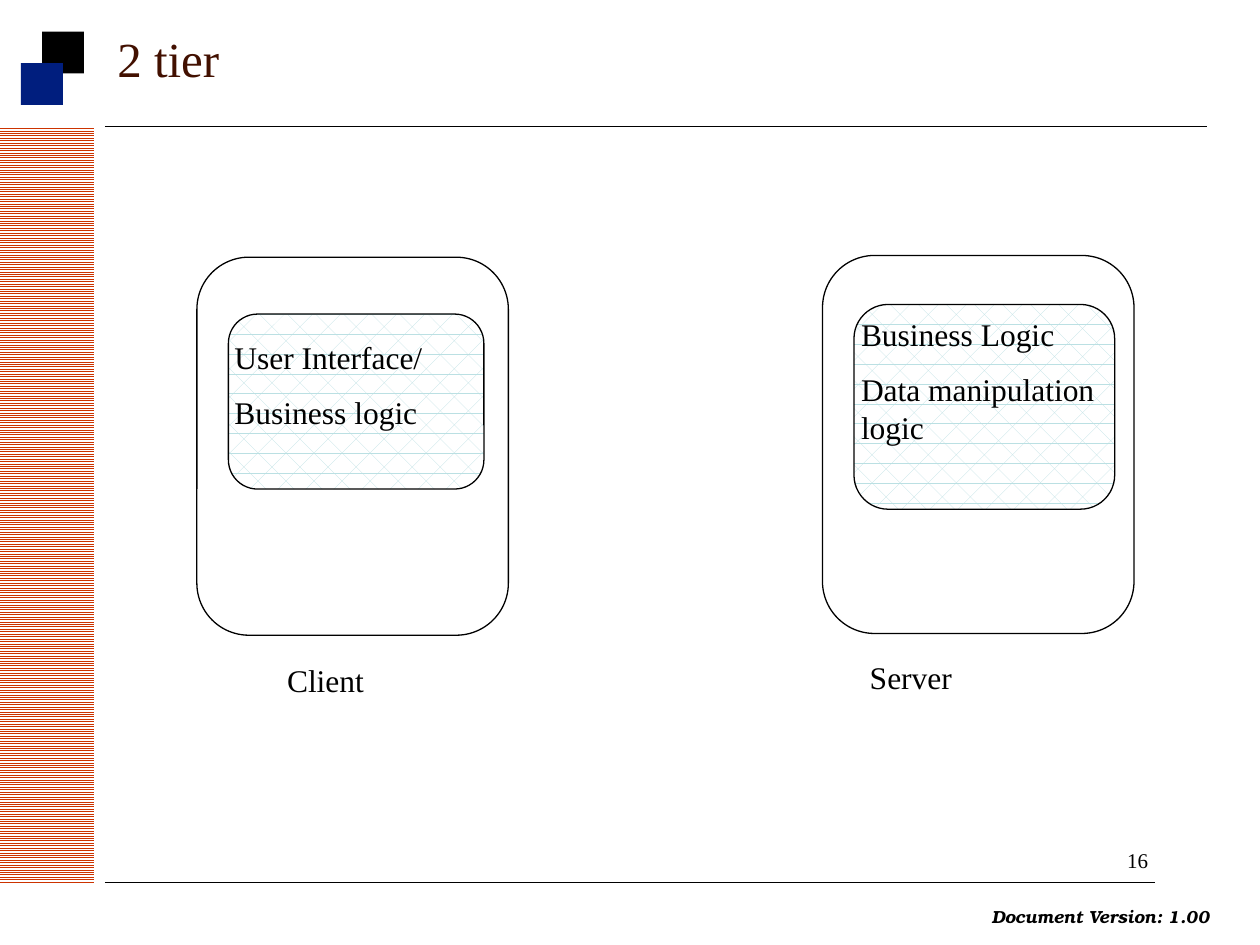
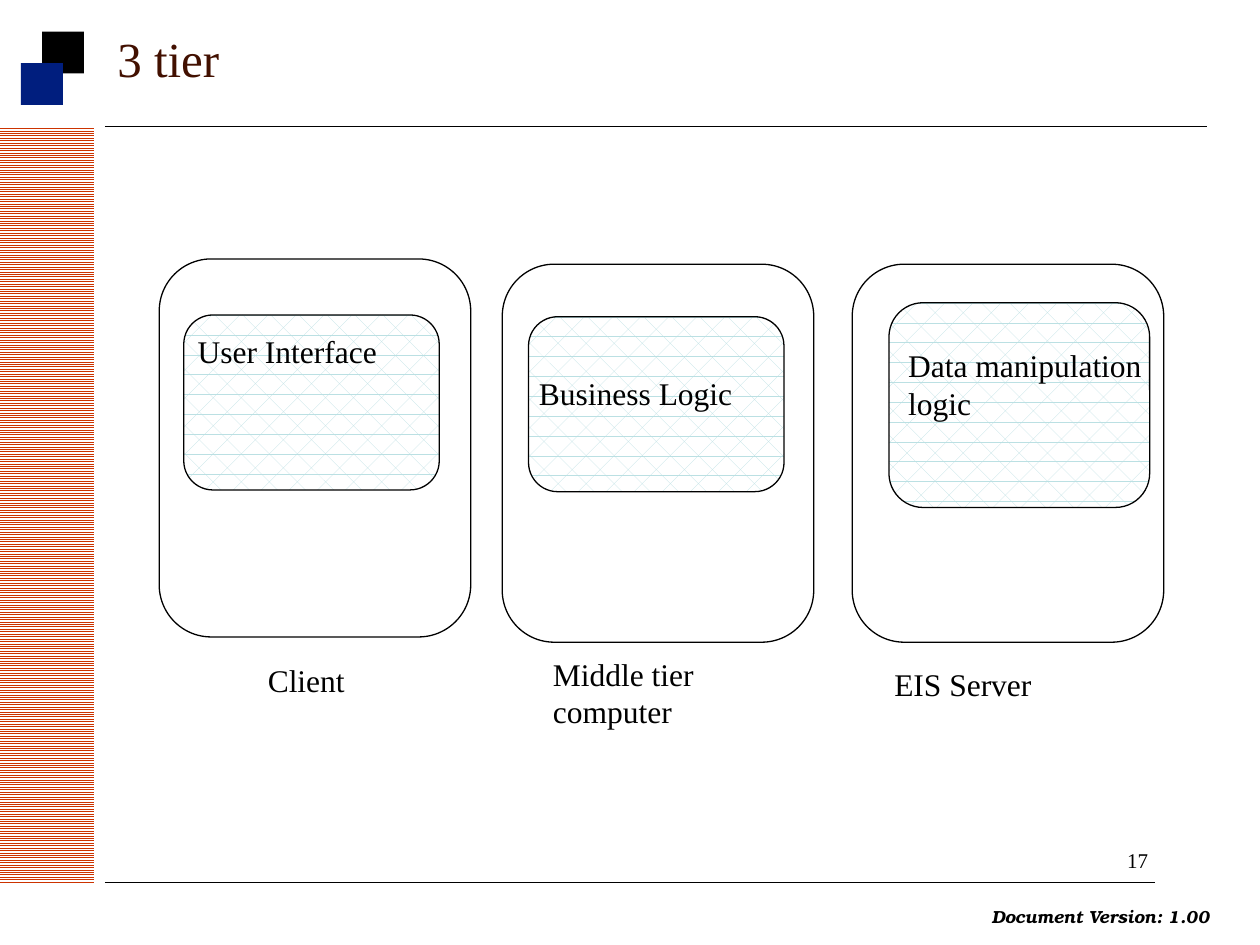
from lxml.etree import SubElement
from pptx import Presentation
from pptx.dml.color import RGBColor
from pptx.enum.dml import MSO_PATTERN
from pptx.enum.shapes import MSO_CONNECTOR, MSO_SHAPE
from pptx.enum.text import MSO_ANCHOR
from pptx.oxml.ns import qn
from pptx.util import Pt

BLACK = RGBColor(0x00, 0x00, 0x00)
WHITE = RGBColor(0xFF, 0xFF, 0xFF)
NAVY = RGBColor(0x00, 0x1E, 0x7E)
RUST = RGBColor(0xCC, 0x33, 0x00)
BROWN = RGBColor(0x42, 0x10, 0x00)
AQUA = RGBColor(0xBB, 0xE0, 0xE3)

SERIF = "Times New Roman"
TITLE = {"name": SERIF, "size": Pt(28)}
BODY = {"name": SERIF, "size": Pt(18)}
NUMBER = {"name": SERIF, "size": Pt(12)}
VERSION = {"name": "TeX Gyre Bonum", "size": Pt(10), "bold": True, "italic": True}

PADDED = {"margin_left": Pt(7.2), "margin_right": Pt(7.2),
          "margin_top": Pt(3.6), "margin_bottom": Pt(3.6)}
TIGHT = dict.fromkeys(PADDED, 0)

MACHINE_SIZE = (178, 216)
SMALL_LOGIC = (146, 100)
LARGE_LOGIC = (149, 117)
CORNER = 0.167

SLIDES = [
    ("2 tier", 16, [
        {"machine": (112.5, 147), "logic": (130.5, 179.5, *SMALL_LOGIC),
         "text": (134, 193, 134, 75.5), "lines": ["User Interface/", "Business logic"],
         "label": (164, 377.5, 151, 21.5), "name": "Client"},
        {"machine": (470, 146), "logic": (488, 174, *LARGE_LOGIC),
         "text": (492, 180, 137, 108.5), "lines": ["Business Logic", "Data manipulation logic"],
         "label": (497, 376, 129, 21.5), "name": "Server"},
    ]),
    ("3 tier", 17, [
        {"machine": (91, 148), "logic": (105, 180, *SMALL_LOGIC),
         "text": (113, 190, 134, 21.5), "lines": ["User Interface"],
         "label": (153, 377.5, 151, 21.5), "name": "Client"},
        {"machine": (287, 151), "logic": (302, 181, *SMALL_LOGIC),
         "text": (308, 214, 133, 21.5), "lines": ["Business Logic"],
         "label": (316, 374, 149, 43), "name": "Middle tier computer"},
        {"machine": (487, 151), "logic": (508, 173, *LARGE_LOGIC),
         "text": (519, 198, 137, 97), "lines": ["Data manipulation logic"],
         "label": (511, 380, 129, 21.5), "name": "EIS Server"},
    ]),
]


def assign(target, values):
    for attribute, value in values.items():
        setattr(target, attribute, value)


class Deck:
    def __init__(self):
        self.presentation = Presentation()
        self.presentation.slide_width = Pt(720)
        self.presentation.slide_height = Pt(540)
        self.slide = None

    def start_slide(self, title, number):
        self.slide = self.presentation.slides.add_slide(self.presentation.slide_layouts[6])
        sidebar = self.box((-189, 261, 432, 54), pattern=MSO_PATTERN.LIGHT_HORIZONTAL, fill=RUST)
        sidebar.rotation = 270
        self.box((24, 18, 24, 24), fill=BLACK)
        self.box((12, 36, 24, 24), fill=NAVY)
        self.rule(60, 690, 72)
        self.rule(60, 660, 504)
        self.text((559.5, 514, 139.5, 19.5), ["Document Version: 1.00"], VERSION, wrap=False)
        self.text((637, 481, 29, 21.5), [str(number)], NUMBER, wrap=False)
        self.text((60, 0, 648, 66), [title], TITLE, color=BROWN, anchor=MSO_ANCHOR.MIDDLE)

    def box(self, frame, kind=MSO_SHAPE.RECTANGLE, fill=None, pattern=None, line=None):
        shape = self.slide.shapes.add_shape(kind, *map(Pt, frame))
        shape.shadow.inherit = False
        if pattern:
            shape.fill.patterned()
            shape.fill.pattern = pattern
            shape.fill.fore_color.rgb = fill
            shape.fill.back_color.rgb = WHITE
        elif fill is not None:
            shape.fill.solid()
            shape.fill.fore_color.rgb = fill
        else:
            shape.fill.background()
        if line is not None:
            shape.line.color.rgb = line
            shape.line.width = Pt(0.75)
        else:
            shape.line.fill.background()
        return shape

    def rounded(self, frame, **style):
        shape = self.box(frame, MSO_SHAPE.ROUNDED_RECTANGLE, line=BLACK, **style)
        shape.adjustments[0] = CORNER

    def rule(self, left, right, top):
        connector = self.slide.shapes.add_connector(
            MSO_CONNECTOR.STRAIGHT, Pt(left), Pt(top), Pt(right), Pt(top))
        connector.line.color.rgb = BLACK
        connector.line.width = Pt(0.25)
        SubElement(connector.element.spPr, qn("a:effectLst"))

    def text(self, frame, lines, font, color=BLACK, margins=PADDED,
             anchor=MSO_ANCHOR.TOP, wrap=True):
        text_frame = self.slide.shapes.add_textbox(*map(Pt, frame)).text_frame
        assign(text_frame, {**margins, "word_wrap": wrap, "vertical_anchor": anchor})
        text_frame.text = "\n".join(lines)
        for index, paragraph in enumerate(text_frame.paragraphs):
            if index:
                paragraph.space_before = Pt(10)
            assign(paragraph.font, font)
            paragraph.font.color.rgb = color

    def tier(self, machine, logic, text, lines, label, name):
        self.rounded((*machine, *MACHINE_SIZE))
        self.rounded(logic, fill=AQUA, pattern=MSO_PATTERN.DIVOT)
        self.text(text, lines, BODY, margins=TIGHT)
        self.text(label, [name], BODY, margins=TIGHT)


def main():
    deck = Deck()
    for title, number, tiers in SLIDES:
        deck.start_slide(title, number)
        for tier in tiers:
            deck.tier(**tier)
    deck.presentation.save("out.pptx")


if __name__ == "__main__":
    main()
